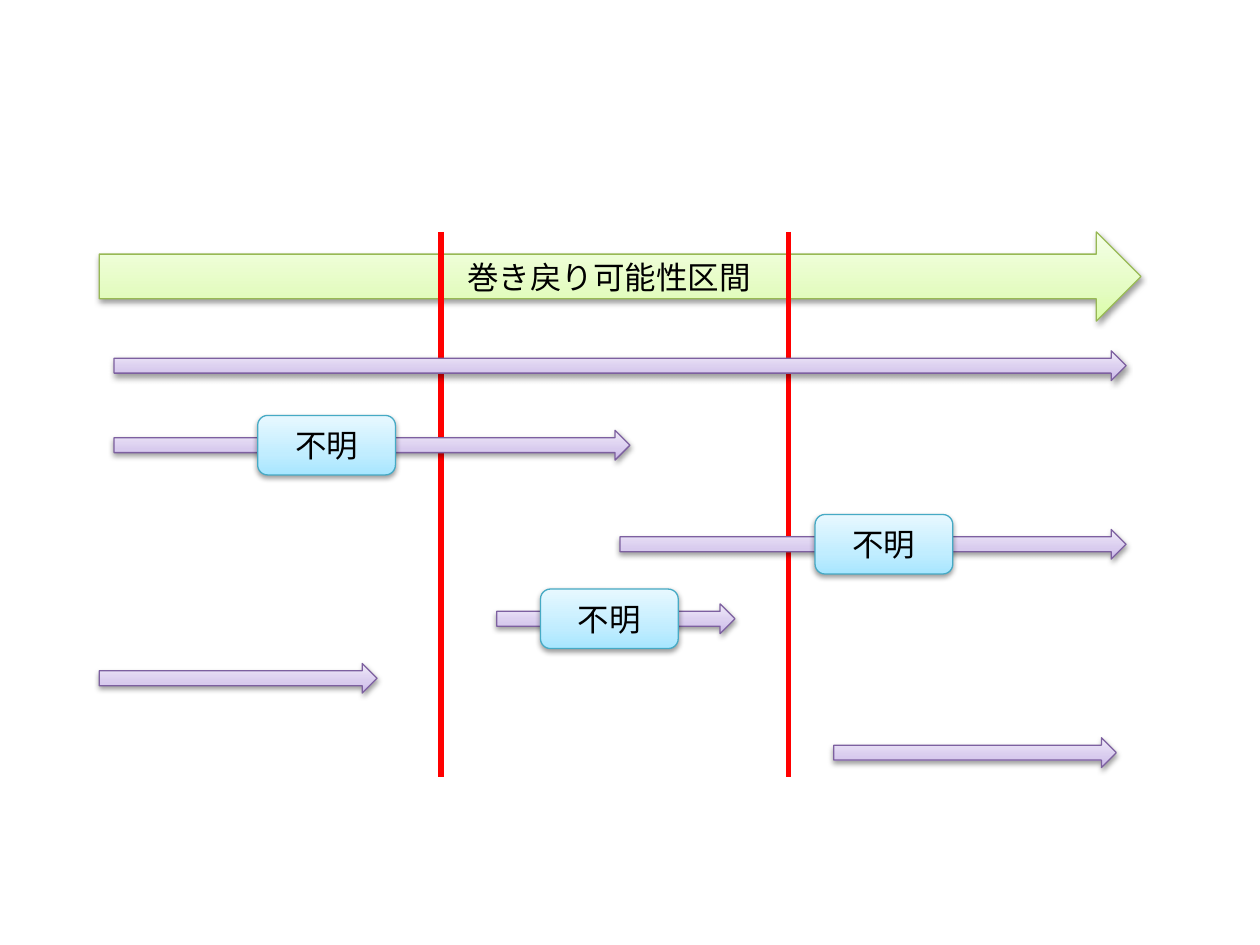
from copy import deepcopy
from lxml import etree
from pptx import Presentation
from pptx.dml.color import RGBColor
from pptx.enum import shapes, text
from pptx.oxml import ns
from pptx.util import Pt

BLACK = RGBColor(0, 0, 0)
RED = RGBColor(0xFF, 0, 0)
GREEN = [RGBColor.from_string(c) for c in ("DAFDA7", "E4FCC2", "F5FFE7", "98B955")]
PURPLE = [RGBColor.from_string(c) for c in ("C9B5E8", "D8CBEE", "F0EAF9", "7D60A0")]
BLUE = [RGBColor.from_string(c) for c in ("A7E6FF", "C1EDFF", "E7F8FF", "46AAC5")]
ARROW = shapes.MSO_SHAPE.RIGHT_ARROW
ROUND = shapes.MSO_SHAPE.ROUNDED_RECTANGLE


def add_part(tree, kind, x, y, w, h, tones, label=""):
    part = tree.add_shape(kind, Pt(x), Pt(y), Pt(w), Pt(h))
    part.fill.gradient()
    part.fill.gradient_angle = 90
    props = part._element.spPr
    stops = props.find(".//" + ns.qn("a:gsLst"))
    stops.insert(1, deepcopy(stops[0]))
    for stop, tone, pos in zip(part.fill.gradient_stops, tones, (0, 0.35, 1)):
        stop.color.rgb = tone
        stop.position = pos
    part.line.color.rgb = tones[3]
    part.line.width = Pt(0.75)
    part.shadow.inherit = False
    glow = etree.SubElement(props.find(ns.qn("a:effectLst")), ns.qn("a:outerShdw"),
                            blurRad=str(Pt(3.1)), dist=str(Pt(1.6)),
                            dir="5400000", rotWithShape="0")
    shade = etree.SubElement(glow, ns.qn("a:srgbClr"), val="000000")
    etree.SubElement(shade, ns.qn("a:alpha"), val="38000")
    if label:
        part.text_frame.vertical_anchor = text.MSO_ANCHOR.MIDDLE
        para = part.text_frame.paragraphs[0]
        para.alignment = text.PP_ALIGN.CENTER
        run = para.add_run()
        run.text = label
        run.font.size = Pt(18)
        run.font.name = "Calibri"
        run.font.color.rgb = BLACK


deck = Presentation()
deck.slide_width, deck.slide_height = Pt(720), Pt(540)
slide = deck.slides.add_slide(deck.slide_layouts[6])
group = slide.shapes.add_group_shape().shapes

add_part(group, ARROW, 56.7, 132.5, 595.3, 51, GREEN, "巻き戻り可能性区間")

for x in (252, 450.6):
    line = group.add_connector(shapes.MSO_CONNECTOR.STRAIGHT,
                               Pt(x), Pt(132.5), Pt(x), Pt(444.3))
    line.line.color.rgb = RED
    line.line.width = Pt(3)
    etree.SubElement(line._element.spPr, ns.qn("a:effectLst"))

spans = [(65.2, 209, 578.3), (65.2, 254.4, 294.8), (354.3, 311, 289.2),
         (283.9, 353.6, 136.1), (56.7, 387.6, 158.8), (476.5, 430.1, 161.4)]
for x, mid, w in spans:
    add_part(group, ARROW, x, mid - 8.5, w, 17, PURPLE)

for x, row in ((308.9, 3), (147.3, 1), (465.8, 2)):
    add_part(slide.shapes, ROUND, x, spans[row][1] - 17, 78.7, 34, BLUE, "不明")

deck.save("out.pptx")
